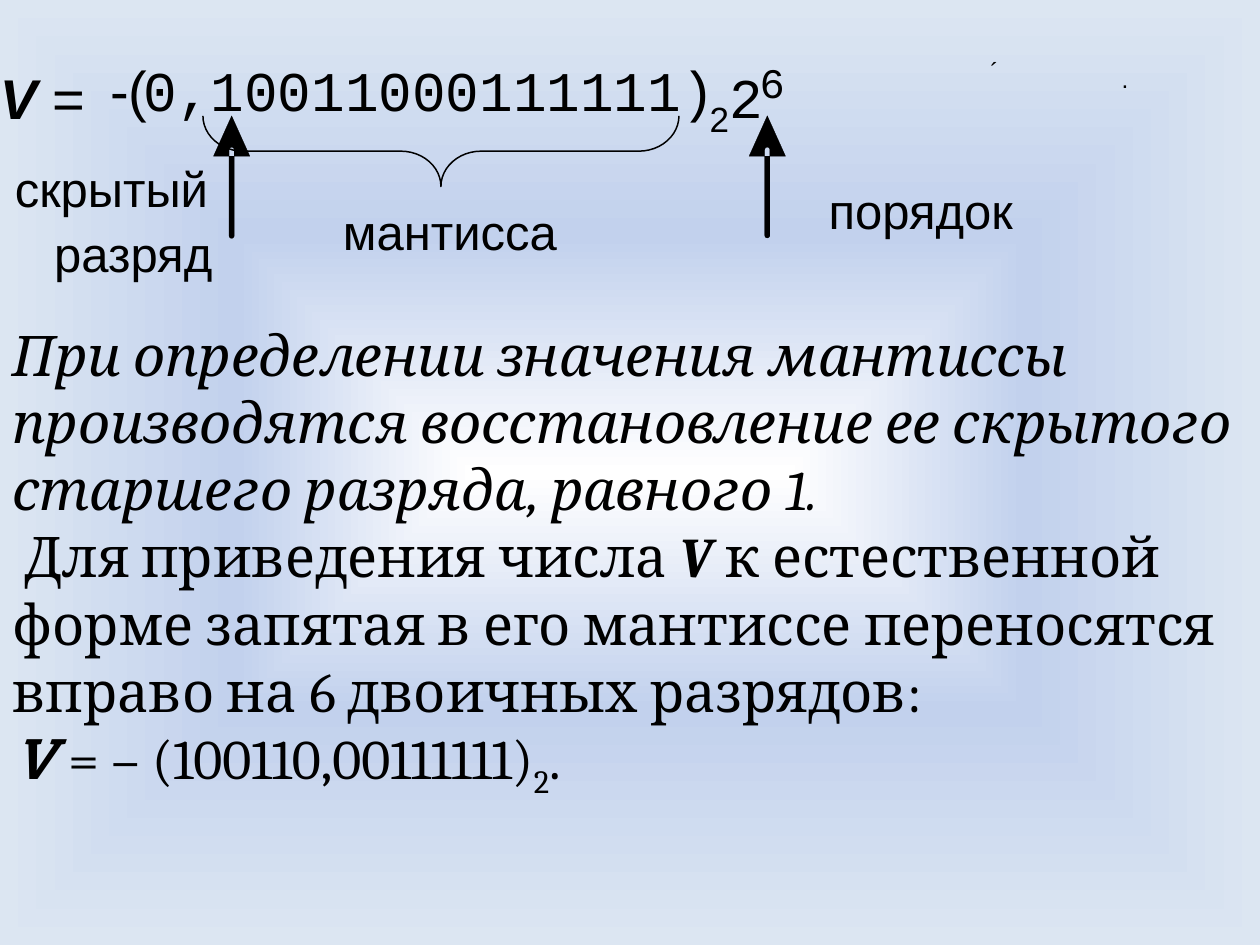
from math import cos, pi, sin
from typing import NamedTuple

from lxml import etree
from pptx import Presentation
from pptx import util as u
from pptx.dml.color import RGBColor
from pptx.enum import text
from pptx.oxml.ns import nsdecls

COLORS = {"ink": "000000", "center": "FFFFFF", "middle": "C2D1ED", "edge": "DCE6F2"}
ITALIC = {"italic": True}
BOLD_ITALIC = {"bold": True, "italic": True}


class Run(NamedTuple):
    text: str
    size: float
    font: str = "Arial"
    style: dict = {}
    baseline: int = 0


class Label(NamedTuple):
    left: float
    top: float
    width: float
    height: float
    paragraphs: list
    wrap: bool = False
    insets: tuple = (0, 0, 0, 0)


class Arrow(NamedTuple):
    x: float
    tip: float
    bottom: float


def body(content: str, style: dict = {}, font: str = "Cambria", baseline: int = 0) -> Run:
    return Run(content, 32, font, style, baseline)


LABELS = [
    Label(0, 36.5, 58.5, 42, [[Run("V", 32, style=BOLD_ITALIC), Run(" =", 32)]]),
    Label(54, 32, 32, 42, [[Run(" -(", 32)]]),
    Label(82, 32, 330.5, 42, [[Run("0,10011000111111)", 32, "Courier New")]]),
    Label(405.5, 55.5, 11.5, 26, [[Run("2", 20)]]),
    Label(566, 32, 24.5, 56, [[Run("´", 14)]]),
    Label(417, 35.5, 19.5, 42, [[Run("2", 32, "Courier New")]]),
    Label(434, 32, 39.5, 32, [[Run("6", 24, "Courier New")]], True),
    Label(641, 36.5, 11, 52.5, [[Run(".", 14)]]),
    Label(196, 115, 124, 37, [[Run("мантисса", 28)]]),
    Label(473.5, 103, 126, 37, [[Run("порядок", 28)]], True),
    Label(8.5, 90.5, 119.5, 37, [[Run("скрытый", 28)]]),
    Label(31, 127.5, 99.5, 37, [[Run("разряд", 28)]], True),
    Label(0, 179.5, 720, 278.5, [
        [body("При определении значения мантиссы производятся восстановление "
              "ее скрытого старшего разряда, равного 1.", ITALIC)],
        [body(" Для приведения числа "), body("V ", BOLD_ITALIC),
         body("к естественной форме запятая в его мантиссе переносятся "
              "вправо на 6 двоичных разрядов:")],
        [body("V ", BOLD_ITALIC, "Roboto Slab"), body("= – (100110,00111111)"),
         body("2", baseline=-25000), body(".")],
    ], True, (7.2, 3.6, 7.2, 3.6)),
]
ARROWS = [Arrow(438.5, 66.2, 136), Arrow(132.4, 66.2, 136.2)]


def color(name: str) -> RGBColor:
    return RGBColor.from_string(COLORS[name])


def paint_background(s) -> None:
    fill = s.background.fill
    fill.solid()
    solid = s._element.cSld.bg.bgPr[0]
    stops = "".join(
        f'<a:gs pos="{pos}"><a:srgbClr val="{COLORS[name]}"/></a:gs>'
        for pos, name in ((0, "center"), (50000, "middle"), (100000, "edge")))
    gradient = etree.fromstring(
        f'<a:gradFill {nsdecls("a")} rotWithShape="1"><a:gsLst>{stops}</a:gsLst>'
        '<a:path path="rect"><a:fillToRect l="50000" t="50000" r="50000" b="50000"/>'
        '</a:path></a:gradFill>')
    solid.getparent().replace(solid, gradient)


def add_label(s, label: Label) -> None:
    sp = s.shapes.add_textbox(*map(u.Pt, label[:4]))
    tf = sp.text_frame
    frame = dict(zip(("margin_left", "margin_top", "margin_right", "margin_bottom"),
                     map(u.Pt, label.insets)))
    frame.update(word_wrap=label.wrap, auto_size=text.MSO_AUTO_SIZE.SHAPE_TO_FIT_TEXT)
    for name, value in frame.items():
        setattr(tf, name, value)
    for i, runs in enumerate(label.paragraphs):
        p = tf.add_paragraph() if i else tf.paragraphs[0]
        for run in runs:
            r = p.add_run()
            r.text = run.text
            for name, value in {"size": u.Pt(run.size), "name": run.font, **run.style}.items():
                setattr(r.font, name, value)
            r.font.color.rgb = color("ink")
            if run.baseline:
                r._r.get_or_add_rPr().set("baseline", str(run.baseline))


def add_outline(s, contours: list, width: float, closed: bool) -> None:
    paths = [[(u.Pt(x), u.Pt(y)) for x, y in contour] for contour in contours]
    builder = s.shapes.build_freeform(*paths[0][0])
    for i, points in enumerate(paths):
        if i:
            builder.move_to(*points[0])
        builder.add_line_segments(points[1:], close=closed)
    sp = builder.convert_to_shape()
    sp.shadow.inherit = False
    sp.line.color.rgb = color("ink")
    sp.line.width = u.Pt(width)
    if closed:
        sp.fill.solid()
        sp.fill.fore_color.rgb = color("ink")
    else:
        sp.fill.background()


def arc(cx: float, cy: float, rx: float, ry: float, start: float, end: float) -> list:
    steps = 12
    angles = [(start + (end - start) * i / steps) * pi / 180 for i in range(steps + 1)]
    return [(cx + rx * cos(a), cy + ry * sin(a)) for a in angles]


def add_brace(s, left: float, top: float, width: float, height: float) -> None:
    rx, ry, middle = 23, height / 2, left + width / 2
    half = (arc(left + rx, top, rx, ry, 180, 90)
            + arc(middle - rx, top + height, rx, ry, -90, 0))
    mirrored = [(2 * middle - x, y) for x, y in reversed(half[:-1])]
    add_outline(s, [half + mirrored], 0.85, False)


def add_arrow(s, arrow: Arrow) -> None:
    radius, head_width, head_height = 1.45, 20.8, 23.1
    x, tip, base = arrow.x, arrow.tip, arrow.tip + head_height
    shaft = (arc(x, tip + 19.4, radius, radius, 180, 360)
             + arc(x, arrow.bottom - radius, radius, radius, 0, 180))
    head = [(x - head_width / 2, base), (x, tip), (x + head_width / 2, base)]
    add_outline(s, [shaft, head], 0.15, True)


def main() -> None:
    """Build the slide on the mantissa and exponent of a binary number."""
    prs = Presentation()
    prs.slide_width, prs.slide_height = u.Pt(720), u.Pt(540)
    s = prs.slides.add_slide(prs.slide_layouts[6])
    paint_background(s)
    for label in LABELS:
        add_label(s, label)
    add_brace(s, 116, 66.2, 272, 40.4)
    for arrow in ARROWS:
        add_arrow(s, arrow)
    prs.save("out.pptx")


if __name__ == "__main__":
    main()
